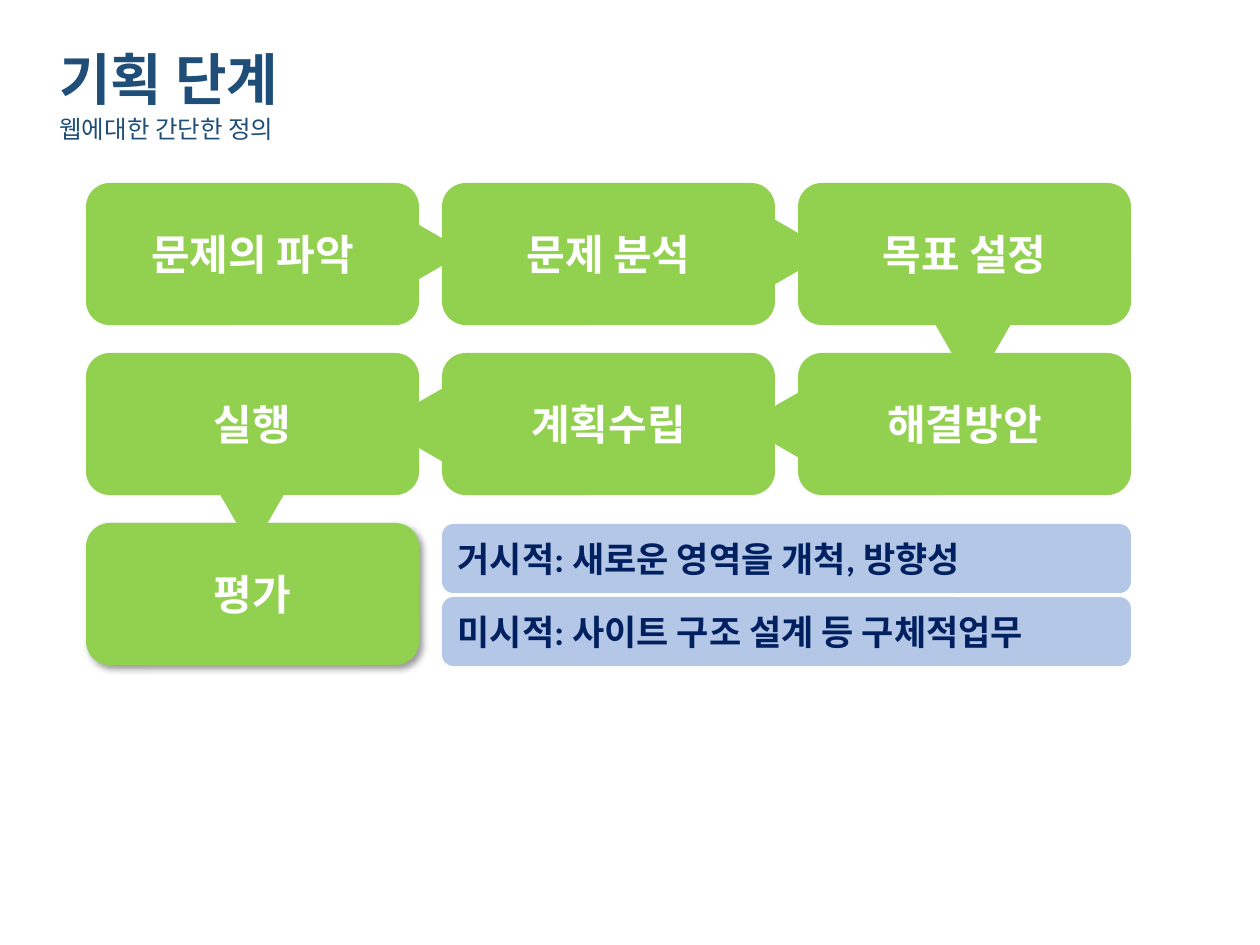
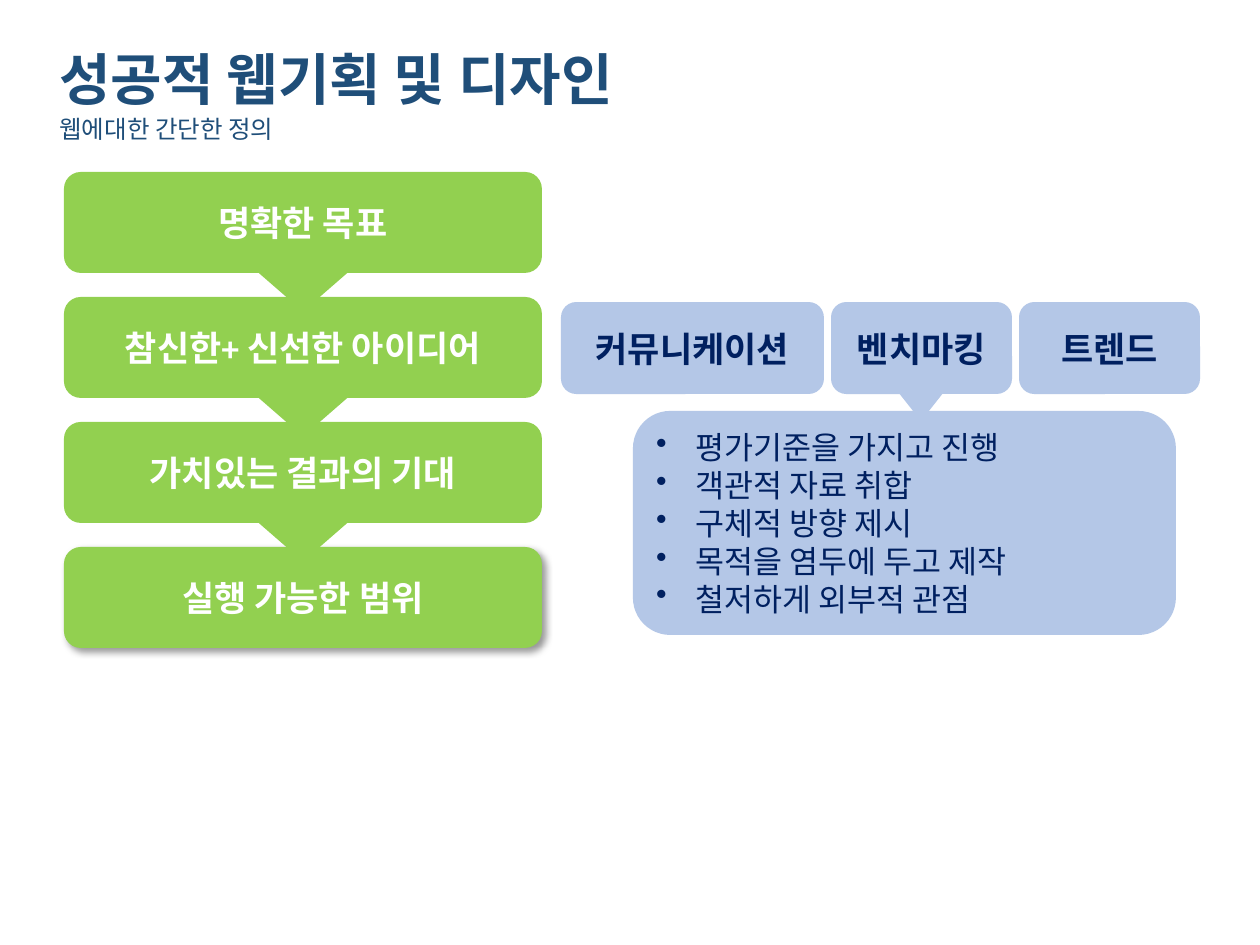
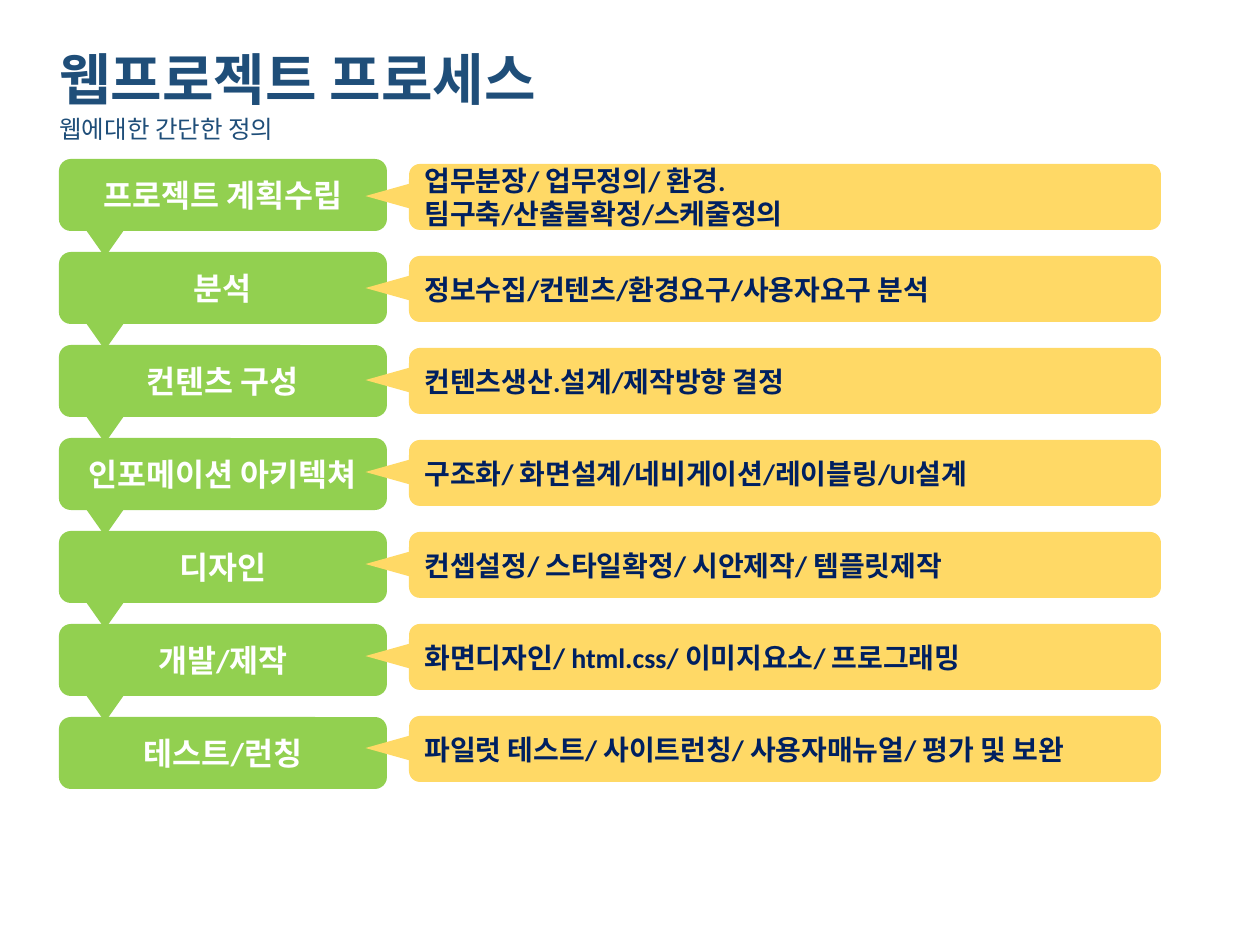
from lxml import etree
from pptx import Presentation
from pptx.dml.color import RGBColor
from pptx.enum.shapes import MSO_SHAPE
from pptx.enum.text import MSO_ANCHOR, PP_ALIGN
from pptx.oxml.ns import qn
from pptx.util import Emu, Pt

ROUNDED = MSO_SHAPE.ROUNDED_RECTANGLE
TRIANGLE = MSO_SHAPE.ISOSCELES_TRIANGLE
MIDDLE, TOP = MSO_ANCHOR.MIDDLE, MSO_ANCHOR.TOP
LEFT, CENTER = PP_ALIGN.LEFT, PP_ALIGN.CENTER
RIGHTWARD, DOWNWARD, LEFTWARD = 90, 180, 270
EMU_PER_PX = 914400 / 126
HEADING_FONT, BODY_FONT = "Noto Sans CJK KR", "Calibri"
HEADING, GREEN, BLUE, YELLOW = "1F4E79", "92D050", "B4C7E7", "FFD966"
NAVY, WHITE = "002060", "FFFFFF"
SUBTITLE = "웹에대한 간단한 정의"


def px(length):
    return Emu(round(length * EMU_PER_PX))


def color(hex_string):
    return RGBColor.from_string(hex_string)


class Deck:
    def __init__(self):
        self.presentation = Presentation()
        self.presentation.slide_width = px(1260)
        self.presentation.slide_height = px(945)
        self.slide = None

    def new_slide(self, title):
        layout = self.presentation.slide_layouts[6]
        self.slide = self.presentation.slides.add_slide(layout)
        heading = self.text_box(47, 50, 774, 69, title, 32, True, MIDDLE)
        heading.paragraphs[0].line_spacing = 0.8
        self.text_box(47, 108, 888, 43, SUBTITLE, 14, False, TOP)

    def text_box(self, x, y, width, height, text, size, bold, anchor):
        box = self.slide.shapes.add_textbox(px(x), px(y), px(width), px(height))
        frame = box.text_frame
        self.fill_text(frame, [text], size, HEADING, bold, LEFT, anchor, HEADING_FONT)
        return frame

    def fill_text(self, frame, paragraphs, size, ink, bold=True, align=CENTER,
                  anchor=MIDDLE, font_name=BODY_FONT, bulleted=False):
        frame.word_wrap = True
        frame.vertical_anchor = anchor
        for index, text in enumerate(paragraphs):
            paragraph = frame.add_paragraph() if index else frame.paragraphs[0]
            paragraph.alignment = align
            if bulleted:
                self.bullet(paragraph)
            for number, line in enumerate(text.split("\n")):
                if number:
                    paragraph.add_line_break()
                run = paragraph.add_run()
                run.text = line
                run.font.size = Pt(size)
                run.font.bold = bold
                run.font.color.rgb = color(ink)
                run.font.name = font_name
                east_asian = etree.SubElement(run._r.get_or_add_rPr(), qn("a:ea"))
                east_asian.set("typeface", HEADING_FONT)

    def bullet(self, paragraph):
        properties = paragraph._p.get_or_add_pPr()
        properties.set("marL", str(px(39)))
        properties.set("indent", str(-px(39)))
        etree.SubElement(properties, qn("a:buChar")).set("char", "•")

    def preset(self, kind, x, y, width, height, fill):
        shape = self.slide.shapes.add_shape(kind, px(x), px(y), px(width), px(height))
        shape.shadow.inherit = False
        shape.fill.solid()
        shape.fill.fore_color.rgb = color(fill)
        shape.line.fill.background()
        return shape

    def card(self, x, y, width, height, text, size, fill, ink, align=CENTER):
        shape = self.preset(ROUNDED, x, y, width, height, fill)
        self.fill_text(shape.text_frame, [text], size, ink, align=align)
        return shape

    def bullet_card(self, x, y, width, height, items, size, fill, ink):
        shape = self.preset(ROUNDED, x, y, width, height, fill)
        self.fill_text(shape.text_frame, items, size, ink, False, LEFT, bulleted=True)

    def pointer(self, center_x, center_y, base, depth, direction, fill):
        shape = self.preset(TRIANGLE, center_x - base / 2, center_y - depth / 2,
                            base, depth, fill)
        shape.rotation = direction

    def cast_shadow(self, shape):
        effects = shape._element.spPr.find(qn("a:effectLst"))
        shadow = etree.SubElement(effects, qn("a:outerShdw"), blurRad=str(Pt(4)),
                                  dist=str(Pt(3)), dir="2700000", algn="tl",
                                  rotWithShape="0")
        tone = etree.SubElement(shadow, qn("a:srgbClr"), val="000000")
        etree.SubElement(tone, qn("a:alpha"), val="40000")


def planning_stages(deck):
    deck.new_slide("기획 단계")
    stages = [
        ("평가", 0, 2), ("실행", 0, 1), ("계획수립", 1, 1), ("해결방안", 2, 1),
        ("목표 설정", 2, 0), ("문제 분석", 1, 0), ("문제의 파악", 0, 0),
    ]
    for stage, column, row in stages:
        card = deck.card(86 + 356 * column, 183 + 170 * row, 333, 142,
                         stage, 24, GREEN, WHITE)
        if stage == "평가":
            deck.cast_shadow(card)
    flow = [
        (433, 252, RIGHTWARD), (798, 252, RIGHTWARD), (973, 357, DOWNWARD),
        (775, 425, LEFTWARD), (412, 425, LEFTWARD), (252, 517, DOWNWARD),
    ]
    for x, y, direction in flow:
        deck.pointer(x, y, 76, 66, direction, GREEN)
    views = ["거시적: 새로운 영역을 개척, 방향성", "미시적: 사이트 구조 설계 등 구체적업무"]
    for row, view in enumerate(views):
        deck.card(442, 524 + 73 * row, 689, 69, view, 20, BLUE, NAVY, LEFT)


def success_factors(deck):
    deck.new_slide("성공적 웹기획 및 디자인")
    factors = ["명확한 목표", "참신한+ 신선한 아이디어", "가치있는 결과의 기대", "실행 가능한 범위"]
    for row, factor in enumerate(factors):
        card = deck.card(64, 172 + 125 * row, 478, 101, factor, 20, GREEN, WHITE)
    deck.cast_shadow(card)
    for row in range(len(factors) - 1):
        deck.pointer(303, 288 + 125 * row, 108, 47, DOWNWARD, GREEN)
    x = 561
    for idea, width in [("커뮤니케이션", 263), ("벤치마킹", 181), ("트렌드", 181)]:
        deck.card(x, 302, width, 92, idea, 20, BLUE, NAVY)
        x += width + 7
    benchmarking = [
        "평가기준을 가지고 진행", "객관적 자료 취합", "구체적 방향 제시",
        "목적을 염두에 두고 제작", "철저하게 외부적 관점",
    ]
    deck.bullet_card(633, 411, 543, 224, benchmarking, 18, BLUE, NAVY)
    deck.pointer(921, 402, 60, 38, DOWNWARD, BLUE)


def project_process(deck):
    deck.new_slide("웹프로젝트 프로세스")
    steps = [
        ("프로젝트 계획수립", "업무분장/ 업무정의/ 환경.\n팀구축/산출물확정/스케줄정의"),
        ("분석", "정보수집/컨텐츠/환경요구/사용자요구 분석"),
        ("컨텐츠 구성", "컨텐츠생산.설계/제작방향 결정"),
        ("인포메이션 아키텍쳐", "구조화/ 화면설계/네비게이션/레이블링/UI설계"),
        ("디자인", "컨셉설정/ 스타일확정/ 시안제작/ 템플릿제작"),
        ("개발/제작", "화면디자인/ html.css/ 이미지요소/ 프로그래밍"),
        ("테스트/런칭", "파일럿 테스트/ 사이트런칭/ 사용자매뉴얼/ 평가 및 보완"),
    ]
    for row, (step, tasks) in enumerate(steps):
        step_y, tasks_y = 159 + 93 * row, 164 + 92 * row
        deck.card(59, step_y, 328, 72, step, 18, GREEN, WHITE)
        if row < len(steps) - 1:
            deck.pointer(105, step_y + 76, 62, 44, DOWNWARD, GREEN)
        deck.card(409, tasks_y, 752, 66, tasks, 16, YELLOW, NAVY, LEFT)
        deck.pointer(394, tasks_y + 32, 32, 57, LEFTWARD, YELLOW)


def main():
    deck = Deck()
    planning_stages(deck)
    success_factors(deck)
    project_process(deck)
    deck.presentation.save("out.pptx")


if __name__ == "__main__":
    main()
